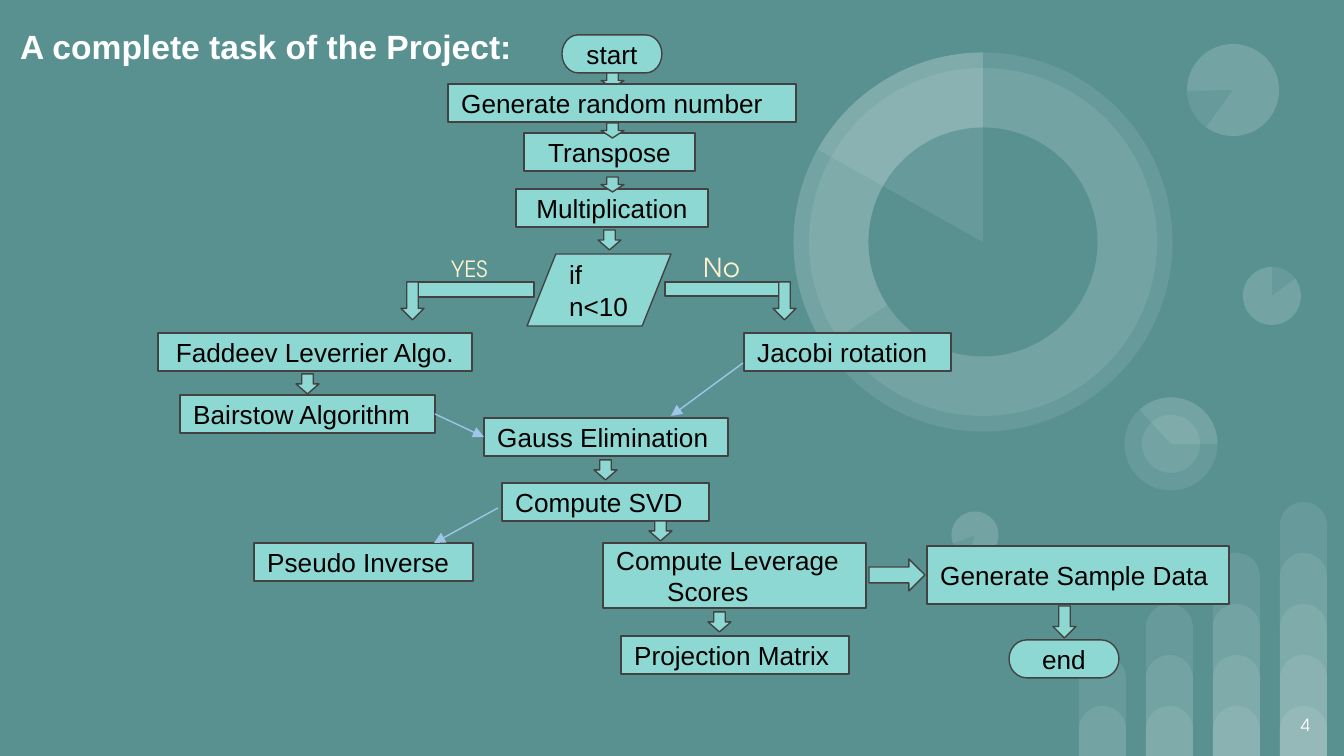
from lxml.etree import SubElement
from pptx import Presentation
from pptx.dml.color import RGBColor
from pptx.enum.shapes import MSO_CONNECTOR, MSO_SHAPE
from pptx.enum.text import MSO_ANCHOR, PP_ALIGN
from pptx.oxml.ns import qn
from pptx.util import Emu, Pt

PX = 914400 / 134.4
INSET = Emu(91440)
TEAL, MINT, GREY, BLUE, CREAM = "599191", "8DD8D3", "424242", "9FC5E8", "FFF2CC"
WHITE, BLACK = "FFFFFF", "000000"
BODY, DISPLAY = "Arial", "TeX Gyre Adventor"
LEFT, CENTER, RIGHT = PP_ALIGN.LEFT, PP_ALIGN.CENTER, PP_ALIGN.RIGHT

PILL, BOX = MSO_SHAPE.FLOWCHART_TERMINATOR, MSO_SHAPE.RECTANGLE
DATA, DOWN, NEXT = MSO_SHAPE.FLOWCHART_DATA, MSO_SHAPE.DOWN_ARROW, MSO_SHAPE.RIGHT_ARROW

# Flowchart from back to front: shape, left, top, width, height, text, alignment
FLOW = [
    (PILL, 562, 35, 100, 38, "start", CENTER),
    (DOWN, 601, 73, 23, 15, "", LEFT),
    (BOX, 448, 84, 348, 38, "Generate random number", LEFT),
    (BOX, 524, 133, 171, 38, "Transpose", CENTER),
    (DOWN, 601, 123, 23, 15, "", LEFT),
    (BOX, 516, 189, 192, 38, "Multiplication", CENTER),
    (DOWN, 601, 177, 23, 15, "", LEFT),
    (DOWN, 598, 230, 23, 20, "", LEFT),
    (DATA, 527, 254, 144, 72, "if n<10", LEFT),
    (BOX, 665, 282, 124, 14, "", LEFT),
    (DOWN, 773, 282, 23, 38, "", LEFT),
    (BOX, 410, 282, 124, 15, "", LEFT),
    (DOWN, 401, 282, 23, 38, "", LEFT),
    (BOX, 158, 333, 314, 38, "Faddeev Leverrier Algo.", CENTER),
    (DOWN, 296, 374, 23, 20, "", LEFT),
    (BOX, 180, 395, 255, 38, "Bairstow Algorithm", LEFT),
    (BOX, 744, 333, 207, 38, "Jacobi rotation", LEFT),
    (BOX, 484, 418, 244, 38, "Gauss Elimination", LEFT),
    (DOWN, 594, 460, 23, 20, "", LEFT),
    (BOX, 502, 483, 207, 38, "Compute SVD", LEFT),
    (BOX, 254, 543, 219, 38, "Pseudo Inverse", LEFT),
    (DOWN, 649, 521, 23, 20, "", LEFT),
    (BOX, 603, 543, 263, 65, "Compute Leverage\nScores", LEFT),
    (DOWN, 708, 612, 23, 20, "", LEFT),
    (BOX, 621, 636, 228, 38, "Projection Matrix", LEFT),
    (NEXT, 869, 559, 56, 32, "", LEFT),
    (BOX, 927, 546, 302, 58, "Generate Sample Data", LEFT),
    (DOWN, 1053, 606, 23, 32, "", LEFT),
    (PILL, 1009, 640, 110, 38, "end", CENTER),
]
SECOND_LINE_INDENT = 51
FREE_LINES = [(743, 363, 671, 416), (498, 508, 434, 543)]

# Text, left, top, width, height, size, font, colour, bold, alignment, anchor
LABELS = [
    ("A complete task of the Project:", 7, 0, 536, 92, 18, BODY, WHITE, True,
     LEFT, MSO_ANCHOR.MIDDLE),
    ("4", 1242, 696, 81, 58, 9, DISPLAY, WHITE, False, RIGHT, MSO_ANCHOR.MIDDLE),
    ("YES", 438, 242, 74, 54, 12, DISPLAY, CREAM, False, LEFT, MSO_ANCHOR.TOP),
    ("No", 690, 238, 74, 59, 14, DISPLAY, CREAM, False, LEFT, MSO_ANCHOR.TOP),
]

# Decoration: centre x, centre y, diameter, start angle (None for a full disc),
# rotation, colour, alpha percent; every wedge ends at 270 degrees
END_ANGLE = 270
DISCS = [
    (1272, 296, 58, None, 0, WHITE, 9),
    (1272, 296, 58, 322.95, 0, WHITE, 9),
    (975, 535, 47, None, 0, WHITE, 9),
    (975, 535, 47, 322.95, 196.2, WHITE, 9),
    (1171, 444, 93, None, 0, WHITE, 9),
    (1171, 444, 93, 137.41, 90, WHITE, 9),
    (1171, 444, 58, None, 0, WHITE, 9),
    (1233, 90, 92, None, 0, WHITE, 9),
    (1233, 90, 92, 322.95, 215.9, WHITE, 9),
    (983, 242, 379, None, 0, WHITE, 9),
    (983, 242, 348, None, 0, WHITE, 9),
    (983, 242, 379, 146.69, 0, WHITE, 9),
    (983, 242, 229, None, 0, TEAL, 100),
    (983, 242, 379, 209.24, 0, WHITE, 9),
]
SLIDE_W, SLIDE_H = 1344, 756
BAR_LEFT, BAR_W, BAR_PITCH, BAR_H, BAR_STEP = 1079, 47, 67, 50, 51


def px(*lengths):
    return [Emu(round(n * PX)) for n in lengths]


def rgb(color):
    return RGBColor.from_string(color)


def add_shape(kind, box, color, alpha=100, line=None):
    sp = shapes.add_shape(kind, *px(*box))
    sp.shadow.inherit = False
    sp.fill.solid()
    sp.fill.fore_color.rgb = rgb(color)
    if alpha < 100:
        clr = sp.fill._xPr.find(qn("a:solidFill"))[0]
        SubElement(clr, qn("a:alpha"), val=str(alpha * 1000))
    if line:
        sp.line.color.rgb = rgb(line)
        sp.line.width = Pt(0.75)
    else:
        sp.line.fill.background()
    return sp


def write(sp, text, size, font, color, bold=False, align=LEFT, anchor=MSO_ANCHOR.MIDDLE):
    tf = sp.text_frame
    tf.text = text
    tf.word_wrap = True
    tf.vertical_anchor = anchor
    tf.margin_left = tf.margin_right = tf.margin_top = tf.margin_bottom = INSET
    for p in tf.paragraphs:
        p.alignment = align
        p.font.size = Pt(size)
        p.font.name = font
        p.font.bold = bold
        p.font.color.rgb = rgb(color)
    for p in tf.paragraphs[1:]:
        p._p.get_or_add_pPr().set("marL", str(px(SECOND_LINE_INDENT)[0]))


def add_arrow_line(x1, y1, x2, y2):
    cxn = shapes.add_connector(MSO_CONNECTOR.STRAIGHT, *px(x1, y1, x2, y2))
    cxn.line.color.rgb = rgb(BLUE)
    cxn.line.width = Pt(0.75)
    SubElement(cxn.line._get_or_add_ln(), qn("a:tailEnd"), type="triangle")
    SubElement(cxn._element.spPr, qn("a:effectLst"))
    return cxn


prs = Presentation()
prs.slide_width, prs.slide_height = px(SLIDE_W, SLIDE_H)
slide = prs.slides.add_slide(prs.slide_layouts[6])
slide.background.fill.solid()
slide.background.fill.fore_color.rgb = rgb(TEAL)
shapes = slide.shapes

for col in range(4):
    for level in range(col + 2):
        h = BAR_H + BAR_STEP * level
        box = (BAR_LEFT + BAR_PITCH * col, SLIDE_H - h, BAR_W, h)
        bar = add_shape(MSO_SHAPE.ROUND_2_SAME_RECTANGLE, box, WHITE, 9)
        bar.adjustments[0] = 0.5

for cx, cy, d, start, rotation, color, alpha in DISCS:
    kind = MSO_SHAPE.OVAL if start is None else MSO_SHAPE.PIE
    disc = add_shape(kind, (cx - d / 2, cy - d / 2, d, d), color, alpha)
    disc.rotation = rotation
    if start is not None:
        # One degree is 60000 units; adjustments count in 100000
        disc.adjustments[0] = start * 0.6
        disc.adjustments[1] = END_ANGLE * 0.6

nodes = {}
for kind, x, y, w, h, text, align in FLOW:
    sp = add_shape(kind, (x, y, w, h), MINT, line=GREY)
    if text:
        write(sp, text, 14, BODY, BLACK, align=align)
        nodes[text] = sp

for ends in FREE_LINES:
    add_arrow_line(*ends)
joined = add_arrow_line(435, 414, 484, 437)
joined.begin_connect(nodes["Bairstow Algorithm"], 3)
joined.end_connect(nodes["Gauss Elimination"], 1)

for text, x, y, w, h, *style in LABELS:
    write(shapes.add_textbox(*px(x, y, w, h)), text, *style)

prs.save("out.pptx")
